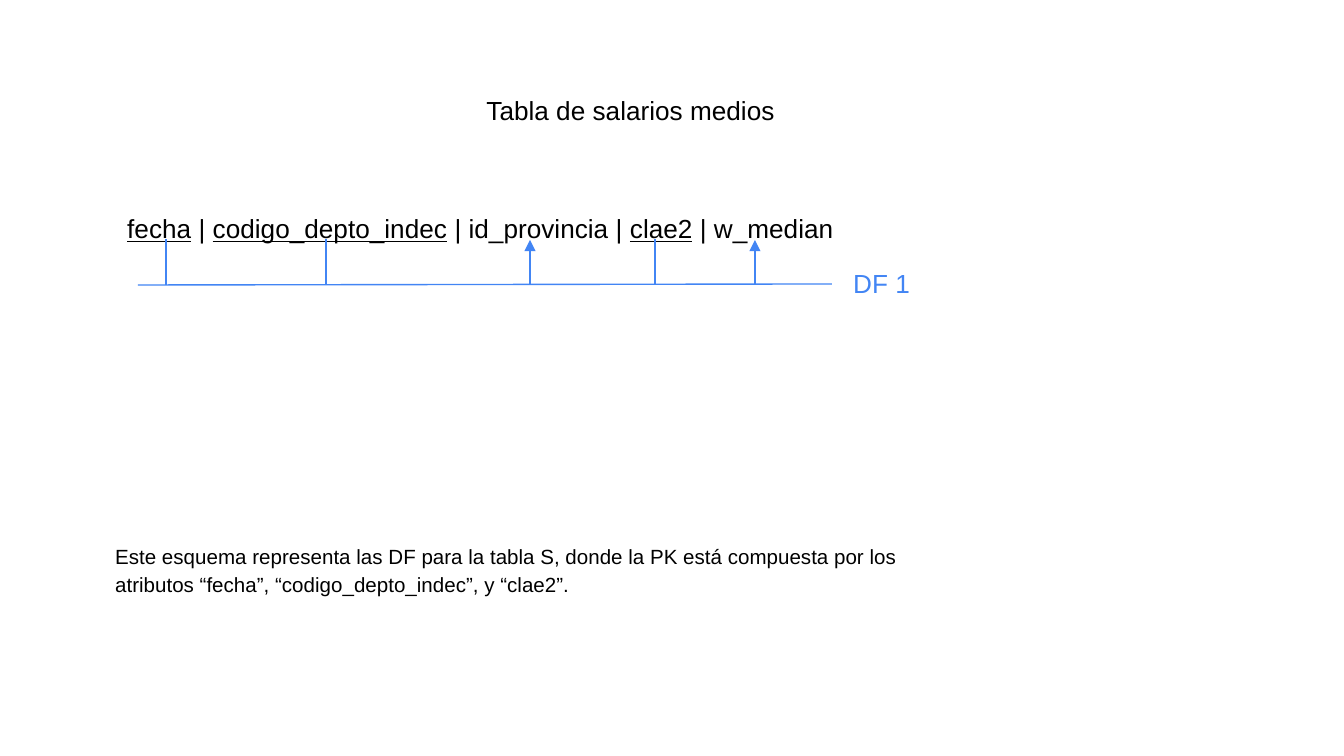
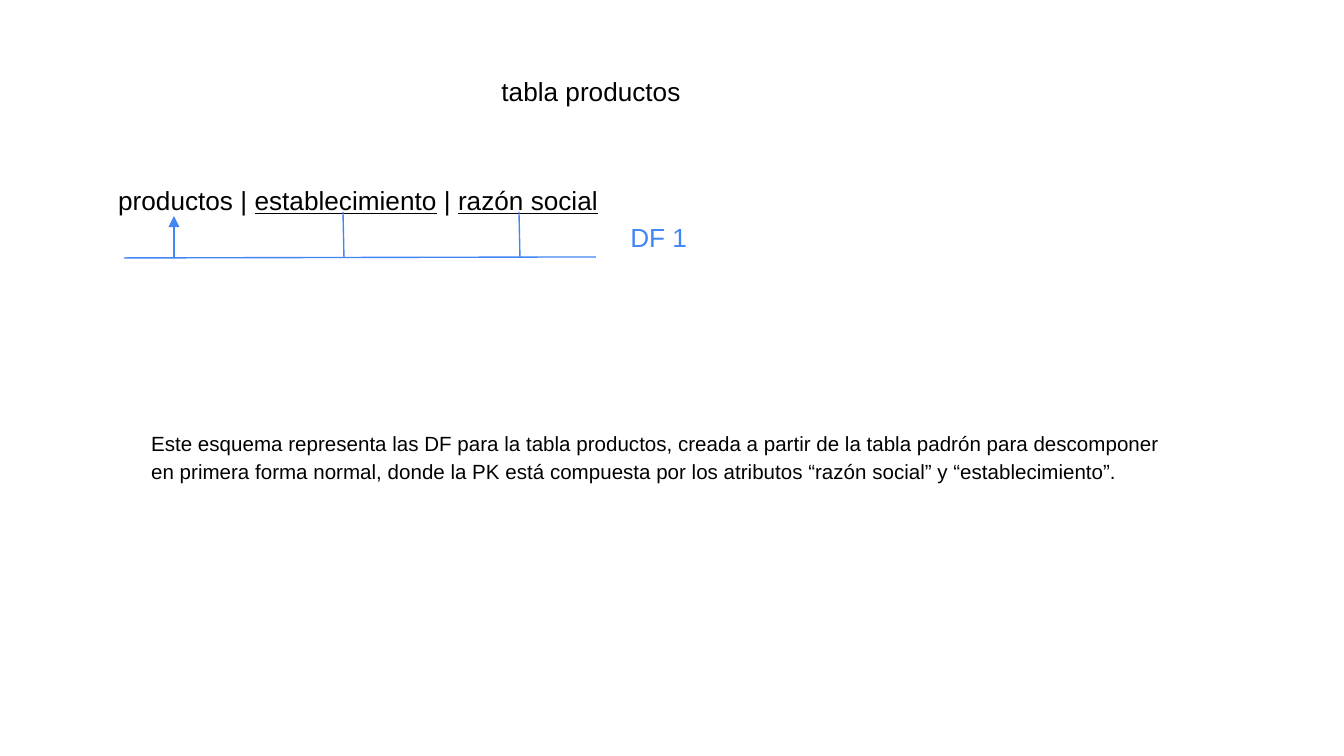
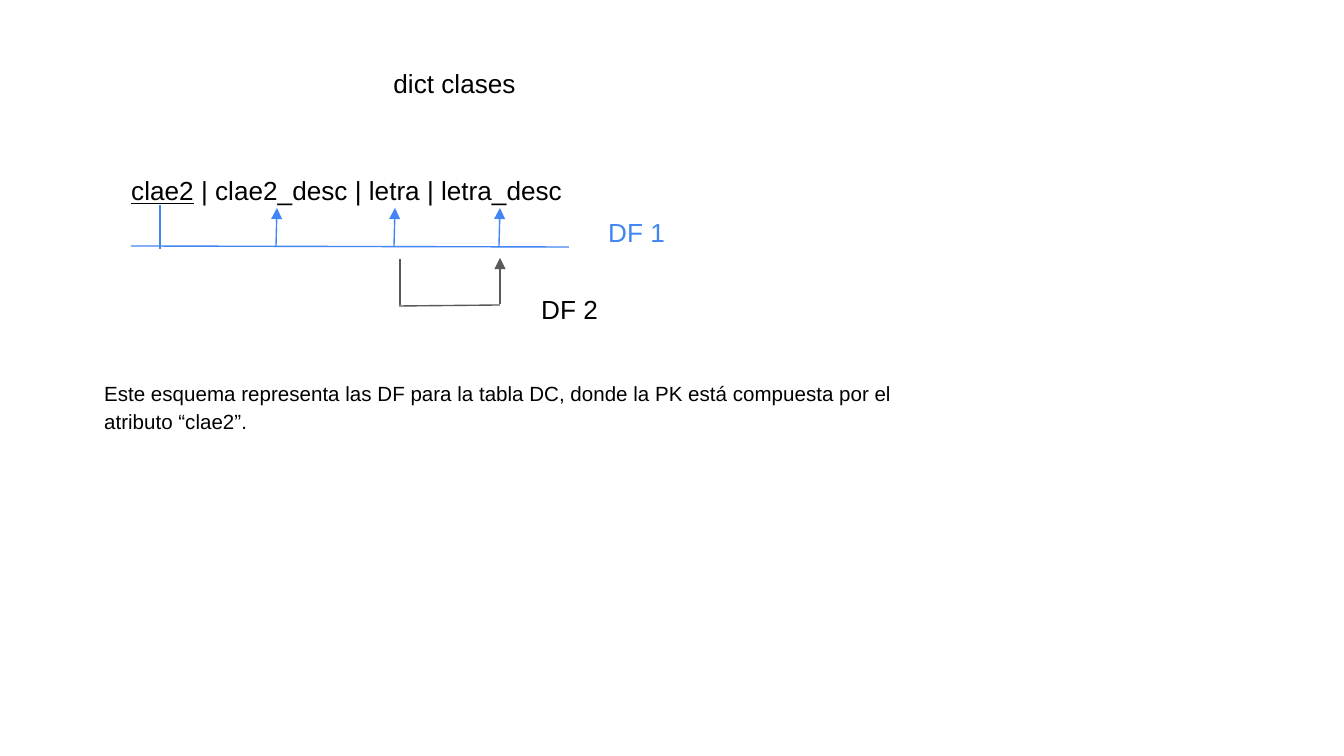
"""Build three slides of functional dependency diagrams."""
from lxml import etree
from pptx import Presentation
from pptx.dml.color import RGBColor
from pptx.enum.shapes import MSO_CONNECTOR
from pptx.enum.text import MSO_ANCHOR, MSO_AUTO_SIZE, PP_ALIGN
from pptx.oxml.ns import qn
from pptx.util import Inches, Pt

STRAIGHT = MSO_CONNECTOR.STRAIGHT
TOP = MSO_ANCHOR.TOP
LEFT = PP_ALIGN.LEFT
NO_FIT = MSO_AUTO_SIZE.NONE

BLACK = RGBColor(0x00, 0x00, 0x00)
BLUE = RGBColor(0x42, 0x85, 0xF4)
GREY = RGBColor(0x59, 0x59, 0x59)

FONT = "Arial"
SCALE = 914400 / 134.4
INSET = Inches(0.1)
LINE_H, NOTE_H = 59, 81
TITLE_ONLY = 5

# Boxes are (left, top, width); stems and arrows are (x at top, x at bottom).
SLIDES = [
    {
        "title": ("Tabla de salarios medios", (473, 81, 598)),
        "fields": ["fecha", "codigo_depto_indec", "id_provincia", "clae2", "w_median"],
        "keys": {"fecha", "codigo_depto_indec", "clae2"},
        "fields_box": (114, 199, 1196),
        "note": ("Este esquema representa las DF para la tabla S, donde la PK está "
                 "compuesta por los atributos “fecha”, “codigo_depto_indec”, y “clae2”.",
                 (102, 527, 868)),
        "dependencies": [
            {"label": ("DF 1", (840, 254, 103)), "text": BLUE, "line": BLUE,
             "bar": (138, 285, 832, 284),
             "stems": [(166, 166), (326, 326), (655, 655)], "stem_y": (239, 285),
             "arrows": [(530, 530), (755, 755)], "arrow_y": (240, 284)},
        ],
    },
    {
        "title": ("tabla productos", (488, 62, 598)),
        "fields": ["productos", "establecimiento", "razón social"],
        "keys": {"establecimiento", "razón social"},
        "fields_box": (105, 171, 538),
        "note": ("Este esquema representa las DF para la tabla productos, creada a "
                 "partir de la tabla padrón para descomponer en primera forma normal, "
                 "donde la PK está compuesta por los atributos “razón social” y "
                 "“establecimiento”.", (138, 414, 1052)),
        "dependencies": [
            {"label": ("DF 1", (617, 208, 598)), "text": BLUE, "line": BLUE,
             "bar": (124, 258, 596, 257),
             "stems": [(343, 344), (519, 520)], "stem_y": (212, 258),
             "arrows": [(174, 174)], "arrow_y": (216, 258)},
        ],
    },
    {
        "title": ("dict clases", (380, 54, 461)),
        "fields": ["clae2", "clae2_desc", "letra", "letra_desc"],
        "keys": {"clae2"},
        "fields_box": (118, 161, 598),
        "note": ("Este esquema representa las DF para la tabla DC, donde la PK está "
                 "compuesta por el atributo “clae2”.", (91, 364, 817)),
        "dependencies": [
            {"label": ("DF 1", (595, 203, 142)), "text": BLUE, "line": BLUE,
             "bar": (131, 246, 569, 247),
             "stems": [(160, 160)], "stem_y": (205, 249),
             "arrows": [(277, 276), (395, 394), (500, 499)], "arrow_y": (208, 246)},
            {"label": ("DF 2", (528, 280, 134)), "text": BLACK, "line": GREY,
             "bar": (399, 306, 500, 305),
             "stems": [(400, 400)], "stem_y": (259, 305),
             "arrows": [(500, 500)], "arrow_y": (258, 304)},
        ],
    },
]


def px(value):
    return round(value * SCALE)


def write(sp, box, height, parts, size=14, color=BLACK, spacing=1.0):
    left, top, width = box
    sp.left, sp.top, sp.width, sp.height = map(px, (left, top, width, height))
    tf = sp.text_frame
    tf.word_wrap = True
    tf.auto_size = NO_FIT
    tf.vertical_anchor = TOP
    tf.margin_left = tf.margin_right = tf.margin_top = tf.margin_bottom = INSET
    p = tf.paragraphs[0]
    p.alignment = LEFT
    p.line_spacing = spacing
    p.font.name, p.font.size = FONT, Pt(size)
    p.font.color.rgb = color
    for text, underlined in parts:
        r = p.add_run()
        r.text = text
        if underlined:
            r.font.underline = True


def add_text(slide, box, height, parts, **style):
    write(slide.shapes.add_textbox(0, 0, 0, 0), box, height, parts, **style)


def add_line(slide, x1, y1, x2, y2, color, arrow=False):
    line = slide.shapes.add_connector(STRAIGHT, *map(px, (x1, y1, x2, y2)))
    line.line.color.rgb = color
    line.line.width = Pt(0.75)
    if arrow:
        etree.SubElement(line.line._get_or_add_ln(), qn("a:tailEnd"), type="triangle")
    etree.SubElement(line._element.spPr, qn("a:effectLst"))


def add_dependency(slide, dep):
    color = dep["line"]
    add_line(slide, *dep["bar"], color)
    top, bottom = dep["stem_y"]
    for x_top, x_bottom in dep["stems"]:
        add_line(slide, x_top, top, x_bottom, bottom, color)
    top, bottom = dep["arrow_y"]
    for x_top, x_bottom in dep["arrows"]:
        add_line(slide, x_bottom, bottom, x_top, top, color, arrow=True)
    label, box = dep["label"]
    add_text(slide, box, LINE_H, [(label, False)], color=dep["text"])


def field_parts(fields, keys):
    parts = []
    for field in fields:
        if parts:
            parts.append((" | ", False))
        parts.append((field, field in keys))
    return parts


prs = Presentation()
prs.slide_width, prs.slide_height = px(1344), px(756)
for data in SLIDES:
    slide = prs.slides.add_slide(prs.slide_layouts[TITLE_ONLY])
    title, box = data["title"]
    write(slide.shapes.title, box, LINE_H, [(title, False)])
    add_text(slide, data["fields_box"], LINE_H, field_parts(data["fields"], data["keys"]))
    for dep in data["dependencies"]:
        add_dependency(slide, dep)
    note, box = data["note"]
    add_text(slide, box, NOTE_H, [(note, False)], size=11, spacing=1.15)
prs.save("out.pptx")
